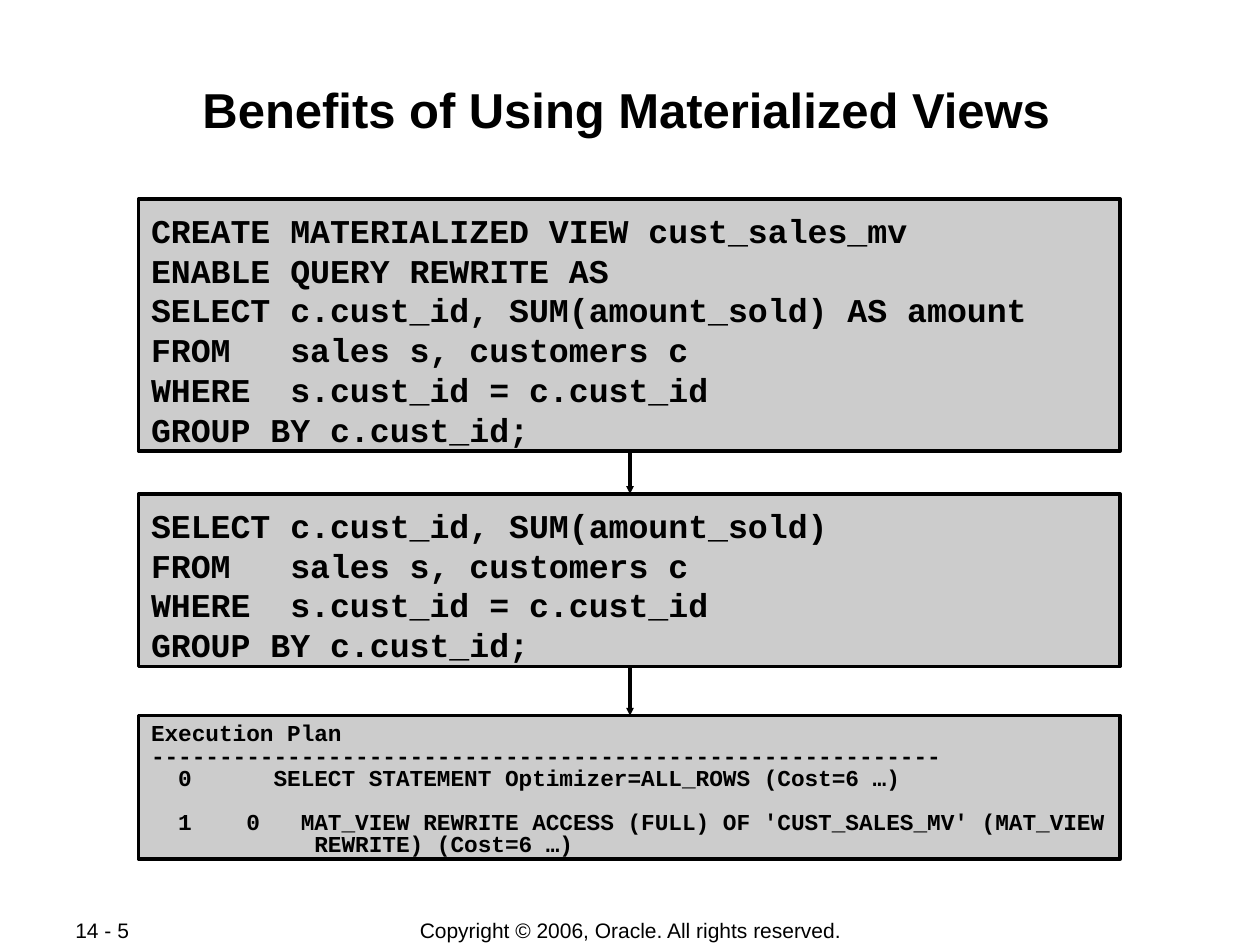
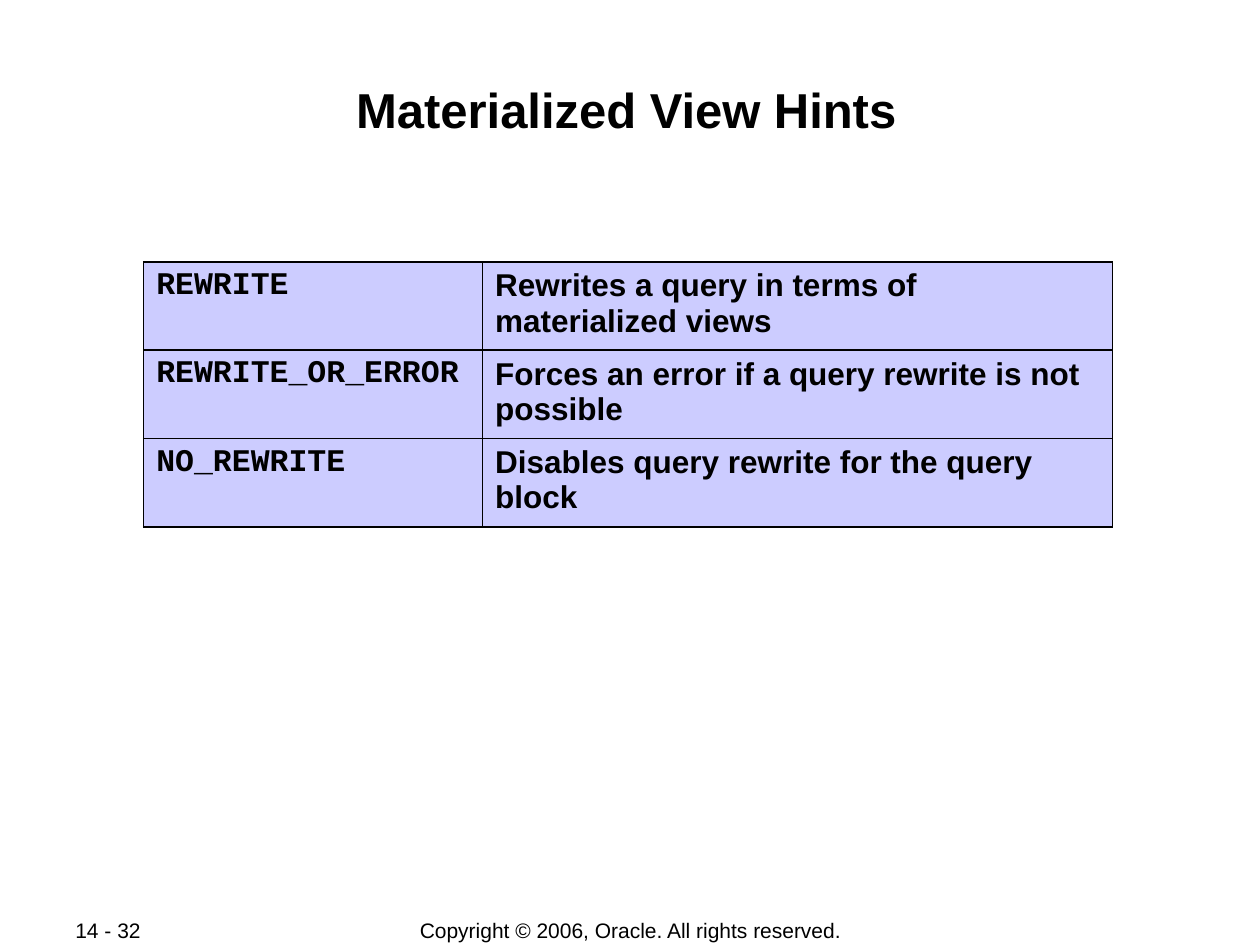
"""Build two slides on materialized views: a query rewrite flow and a table of hints."""
import dataclasses

import pptx
import pptx.dml.color
import pptx.enum.shapes
import pptx.enum.text
import pptx.oxml
import pptx.oxml.ns
import pptx.util

ALIGN = pptx.enum.text.PP_ALIGN
ANCHOR = pptx.enum.text.MSO_ANCHOR
NS = pptx.oxml.ns.nsdecls("a")


@dataclasses.dataclass(frozen=True)
class Theme:
    ink: str = "000000"
    paper: str = "FFFFFF"
    code_fill: str = "CCCCCC"
    cell_fill: str = "CCCCFF"
    sans: str = "Arial"
    mono: str = "Courier New"
    title_size: float = 28
    code_size: float = 19
    code_pitch: float = 22.7
    plan_size: float = 13
    plan_pitch: float = 12.6
    cell_size: float = 18
    footer_size: float = 12
    box_line: float = 2
    arrow_line: float = 2.25
    cell_line: float = 1.08


class Deck:
    columns, rows = 100, 75

    def __init__(self, theme):
        self.theme = theme
        self.prs = pptx.Presentation()
        self.prs.slide_width = pptx.util.Inches(10)
        self.prs.slide_height = pptx.util.Inches(7.5)
        self.s = None

    def x(self, columns):
        return round(self.prs.slide_width * columns / self.columns)

    def y(self, rows):
        return round(self.prs.slide_height * rows / self.rows)

    def area(self, left, top, width, height):
        return self.x(left), self.y(top), self.x(width), self.y(height)

    def rgb(self, color):
        return pptx.dml.color.RGBColor.from_string(color)

    def run(self, p, text, size, font, bold=True):
        r = p.add_run()
        r.text = text
        r.font.size = pptx.util.Pt(size)
        r.font.name = font
        r.font.bold = bold
        r.font.color.rgb = self.rgb(self.theme.ink)

    def frame(self, sp, anchor=ANCHOR.TOP, margins=(1, 0.5, 1, 0.5)):
        tf = sp.text_frame
        tf.word_wrap = True
        tf.auto_size = pptx.enum.text.MSO_AUTO_SIZE.NONE
        tf.vertical_anchor = anchor
        left, top, right, bottom = margins
        tf.margin_left, tf.margin_right = self.x(left), self.x(right)
        tf.margin_top, tf.margin_bottom = self.y(top), self.y(bottom)
        return tf

    def slide(self, title, number):
        t = self.theme
        self.s = self.prs.slides.add_slide(self.prs.slide_layouts[5])
        self.s.background.fill.solid()
        self.s.background.fill.fore_color.rgb = self.rgb(t.paper)
        self.footer(f"14 - {number}", 5, 10.6, ALIGN.LEFT)
        self.footer("Copyright © 2006, Oracle. All rights reserved.", 27.6, 44.9, ALIGN.CENTER)
        sp = self.s.shapes.title
        sp.left, sp.top, sp.width, sp.height = self.area(9.7, 5.8, 80, 9.6)
        p = self.frame(sp, margins=(0.1, 0.5, 0.1, 0.1)).paragraphs[0]
        p.alignment = ALIGN.CENTER
        self.run(p, title, t.title_size, t.sans)

    def footer(self, text, left, width, alignment):
        sp = self.s.shapes.add_textbox(*self.area(left, 72.8, width, 2))
        p = self.frame(sp, ANCHOR.MIDDLE).paragraphs[0]
        p.alignment = alignment
        self.run(p, text, self.theme.footer_size, self.theme.sans, bold=False)

    def arrow(self, column, top, bottom):
        sp = self.s.shapes.add_connector(
            pptx.enum.shapes.MSO_CONNECTOR.STRAIGHT,
            self.x(column), self.y(top), self.x(column), self.y(bottom))
        sp.line.color.rgb = self.rgb(self.theme.ink)
        sp.line.width = pptx.util.Pt(self.theme.arrow_line)
        sp.line._get_or_add_ln().append(
            pptx.oxml.parse_xml(f'<a:tailEnd {NS} type="triangle" w="sm" len="sm"/>'))
        sp._element.spPr.append(pptx.oxml.parse_xml(f"<a:effectLst {NS}/>"))

    def code(self, blocks, top, height, size, pitch, inset):
        t = self.theme
        sp = self.s.shapes.add_shape(
            pptx.enum.shapes.MSO_SHAPE.RECTANGLE, *self.area(11, top, 77.9, height))
        sp.shadow.inherit = False
        sp.fill.solid()
        sp.fill.fore_color.rgb = self.rgb(t.code_fill)
        sp.line.color.rgb = self.rgb(t.ink)
        sp.line.width = pptx.util.Pt(t.box_line)
        tf = self.frame(sp, margins=(1, inset, 0.5, 0))
        p = tf.paragraphs[0]
        for b, block in enumerate(blocks):
            for i, line in enumerate(block.splitlines()):
                if b or i:
                    p = tf.add_paragraph()
                p.alignment = ALIGN.LEFT
                p.line_spacing = pptx.util.Pt(pitch)
                if b and not i:
                    p.space_before = pptx.util.Pt(pitch)
                self.run(p, line, size, t.mono)

    def table(self, records, left, top, widths, row_height):
        shape = self.s.shapes.add_table(
            len(records), len(widths),
            *self.area(left, top, sum(widths), row_height * len(records)))
        tbl = shape.table
        tbl.first_row = tbl.horz_banding = False
        for column, width in zip(tbl.columns, widths):
            column.width = self.x(width)
        for row, record in zip(tbl.rows, records):
            row.height = self.y(row_height)
            for cell, text, font in zip(row.cells, record, (self.theme.mono, self.theme.sans)):
                self.cell(cell, text, font)

    def cell(self, cell, text, font):
        t = self.theme
        cell.margin_left = cell.margin_right = self.x(1)
        cell.margin_top = cell.margin_bottom = self.y(0.5)
        tc_pr = cell._tc.get_or_add_tcPr()
        for side in "LRTB":
            tc_pr.append(pptx.oxml.parse_xml(
                f'<a:ln{side} {NS} w="{pptx.util.Pt(t.cell_line)}"><a:solidFill>'
                f'<a:srgbClr val="{t.ink}"/></a:solidFill></a:ln{side}>'))
        cell.fill.solid()
        cell.fill.fore_color.rgb = self.rgb(t.cell_fill)
        self.run(cell.text_frame.paragraphs[0], text, t.cell_size, font)


VIEW = """CREATE MATERIALIZED VIEW cust_sales_mv
ENABLE QUERY REWRITE AS
SELECT c.cust_id, SUM(amount_sold) AS amount
"""
QUERY = "SELECT c.cust_id, SUM(amount_sold)\n"
JOIN = """FROM   sales s, customers c
WHERE  s.cust_id = c.cust_id
GROUP BY c.cust_id;"""
PLAN = (
    "Execution Plan\n" + "-" * 58 + """
  0      SELECT STATEMENT Optimizer=ALL_ROWS (Cost=6 …)""",
    """  1    0   MAT_VIEW REWRITE ACCESS (FULL) OF 'CUST_SALES_MV' (MAT_VIEW
            REWRITE) (Cost=6 …)""",
)
HINTS = (
    ("REWRITE", "Rewrites a query in terms of materialized views"),
    ("REWRITE_OR_ERROR", "Forces an error if a query rewrite is not possible"),
    ("NO_REWRITE", "Disables query rewrite for the query block"),
)


def main():
    theme = Theme()
    deck = Deck(theme)

    deck.slide("Benefits of Using Materialized Views", 5)
    view_top, query_top, plan_top = 15.8, 39.2, 56.8
    for target in (query_top, plan_top):
        deck.arrow(50, target - 6.7, target)
    deck.code([VIEW + JOIN], view_top, 20, theme.code_size, theme.code_pitch, 0.9)
    deck.code([QUERY + JOIN], query_top, 13.7, theme.code_size, theme.code_pitch, 0.9)
    deck.code(PLAN, plan_top, 11.4, theme.plan_size, theme.plan_pitch, 0.7)

    deck.slide("Materialized View Hints", 32)
    deck.table(HINTS, 11.4, 20.8, (26.9, 50), 7)

    deck.prs.save("out.pptx")


if __name__ == "__main__":
    main()
